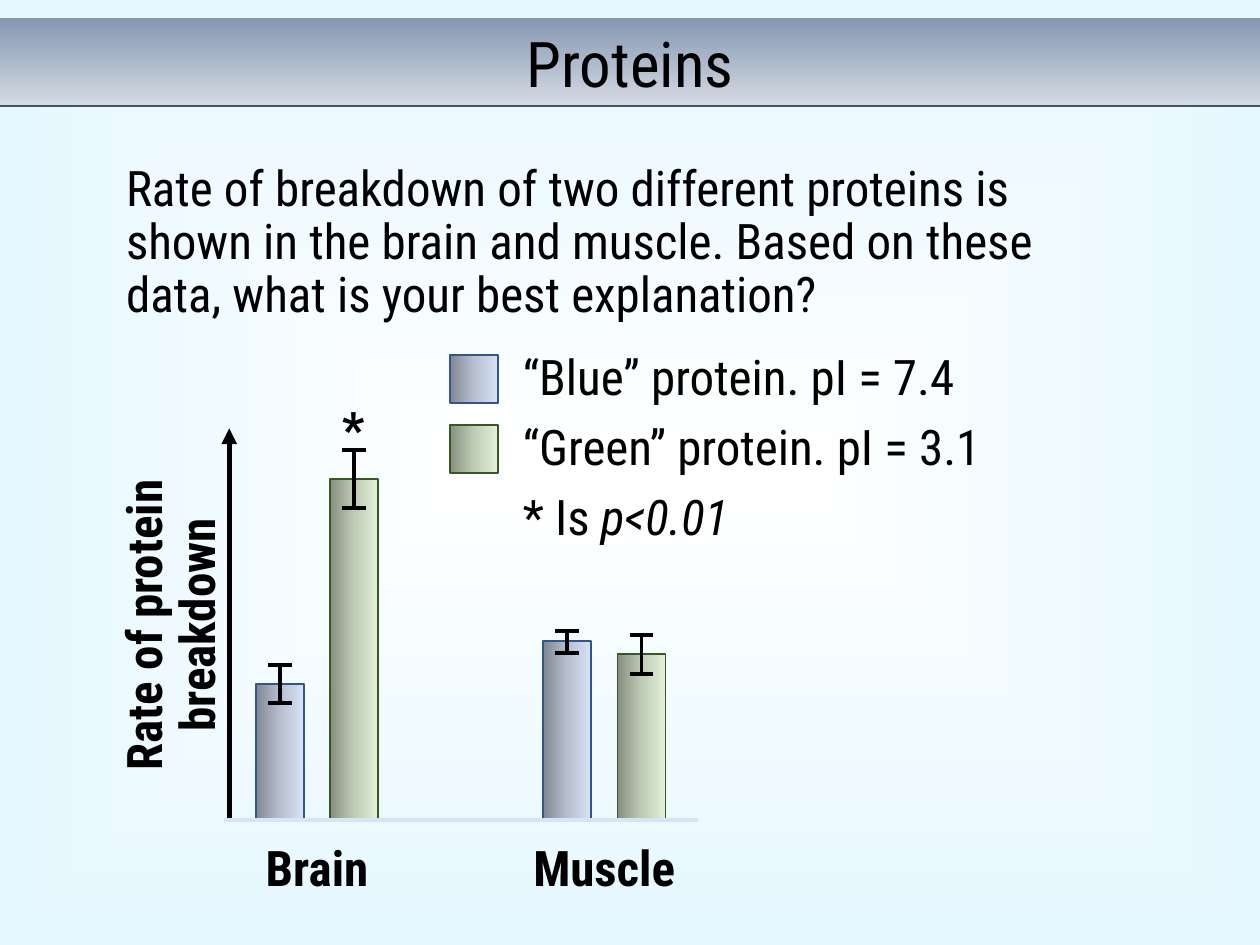
import pptx
import pptx.util
import pptx.dml.color
import pptx.enum.shapes
import pptx.enum.text
import pptx.oxml.ns
import lxml.etree

Pt = pptx.util.Pt
qn = pptx.oxml.ns.qn
Align = pptx.enum.text.PP_ALIGN
FONT = "Roboto Condensed"

# Content
TITLE = "Proteins"
ASK = ("Rate of breakdown of two different proteins is shown in the brain "
       "and muscle. Based on these data, what is your best explanation?")
AXIS = "Rate of protein breakdown"
BLUE = ([(0, "808691"), (50, "B6BFCF"), (100, "D8E2F5")], "325491")
GREEN = ([(0, "868F80"), (50, "BECBB6"), (100, "E2F1D8")], "385723")
KEYS = [("“Blue” protein. pI = 7.4", BLUE),
        ("“Green” protein. pI = 3.1", GREEN)]
NOTE = ("* Is ", "p<0.01")
# Group: name, left of first bar, label box, bars as (top, error top, error end)
GROUPS = [
    ("Brain", 146.2, (146.9, 68.4), [(391, 380.2, 401.8), (273.6, 257, 290.2)]),
    ("Muscle", 310.4, (298.8, 92.9), [(366.4, 360.7, 373), (373.6, 362.9, 385.2)]),
]
BASE, WIDE, STEP, CAP = 468.7, 27.4, 42.5, 6.7
ROW, LINE = 40, 31

prs = pptx.Presentation()
prs.slide_width, prs.slide_height = Pt(720), Pt(540)
slide = prs.slides.add_slide(prs.slide_layouts[6])


def color(code):
    return pptx.dml.color.RGBColor.from_string(code)


def grad(fill, node, stops, angle=None):
    """Gradient with any number of stops; no angle means from the centre."""
    fill.gradient()
    root = node.find(".//" + qn("a:gradFill"))
    for kid in list(root):
        root.remove(kid)

    def add(up, tag, **attrs):
        return lxml.etree.SubElement(up, qn("a:" + tag), attrs)

    group = add(root, "gsLst")
    for pos, code in stops:
        add(add(group, "gs", pos=str(pos * 1000)), "srgbClr", val=code)
    if angle is None:
        half = "50000"
        add(add(root, "path", path="shape"), "fillToRect", l=half, t=half, r=half, b=half)
    else:
        add(root, "lin", ang=str(angle * 60000), scaled="0")


def rect(x, y, w, h, stops, edge=None, angle=0):
    kind = pptx.enum.shapes.MSO_SHAPE.RECTANGLE
    shape = slide.shapes.add_shape(kind, Pt(x), Pt(y), Pt(w), Pt(h))
    shape.shadow.inherit = False
    grad(shape.fill, shape._element, stops, angle)
    if edge:
        shape.line.color.rgb = color(edge)
        shape.line.width = Pt(1)
    else:
        shape.line.fill.background()
    return shape


def line(x1, y1, x2, y2, code="000000", width=2.25, arrow=False):
    kind = pptx.enum.shapes.MSO_CONNECTOR.STRAIGHT
    link = slide.shapes.add_connector(kind, Pt(x1), Pt(y1), Pt(x2), Pt(y2))
    link.line.color.rgb = color(code)
    link.line.width = Pt(width)
    if arrow:
        lxml.etree.SubElement(link.line._get_or_add_ln(), qn("a:tailEnd"), type="triangle")
    lxml.etree.SubElement(link._element.spPr, qn("a:effectLst"))


def style(para, size=28, bold=False):
    for run in para.runs:
        font = run.font
        font.name, font.size, font.bold = FONT, Pt(size), bold
        font.color.rgb = color("000000")


def text(x, y, w, h, words, bold=False, align=Align.LEFT):
    box = slide.shapes.add_textbox(Pt(x), Pt(y), Pt(w), Pt(h))
    frame = box.text_frame
    frame.word_wrap = True
    frame.margin_left = frame.margin_right = frame.margin_top = frame.margin_bottom = 0
    para = frame.paragraphs[0]
    para.text = words
    para.alignment = align
    para.line_spacing = 0.9
    para.space_before = Pt(10)
    style(para, bold=bold)
    return box


# Background and title band
grad(slide.background.fill, slide._element, [(0, "FFFFFF"), (100, "E5F8FF")])
band = rect(0, 10, 720, 51, [(0, "D6DCE5"), (100, "8497B0")], angle=270)
frame = band.text_frame
frame.margin_left = frame.margin_right = 0
frame.vertical_anchor = pptx.enum.text.MSO_ANCHOR.MIDDLE
frame.text = TITLE
frame.paragraphs[0].alignment = Align.CENTER
style(frame.paragraphs[0], 36)
line(0, 60.5, 720, 60.5, "44546A", 1)

# Question
text(72, 93.6, 564, 95, ASK)

# Legend and note
for i, (words, (stops, edge)) in enumerate(KEYS):
    rect(257, 203 + i * ROW, WIDE, WIDE, stops, edge)
    text(298.8, 201.6 + i * ROW, 345.6, LINE, words)
note = text(298.8, 201.6 + len(KEYS) * ROW, 134.6, LINE, NOTE[0])
para = note.text_frame.paragraphs[0]
para.add_run().text = NOTE[1]
style(para)
para.runs[1].font.italic = True

# Bars with error marks
for name, left, (x, w), bars in GROUPS:
    for i, (top, high, low) in enumerate(bars):
        stops, edge = KEYS[i][1]
        start = left + i * STEP
        mid = start + WIDE / 2
        rect(start, top, WIDE, BASE - top, stops, edge)
        line(mid, high, mid, low)
        for y in (high, low):
            line(mid - CAP, y, mid + CAP, y)
    text(x, 482.4, w, LINE, name, True, Align.CENTER)

# Axes and their label
line(131, BASE, 131, 244.8, width=3, arrow=True)
line(128.2, BASE, 398.9, BASE, "DAE3F3")
label = text(10.1, 327.6, 175.7, 59, AXIS, True, Align.CENTER)
label.rotation = 270
text(188.6, 231.8, 26.6, LINE, "*", True, Align.CENTER)

prs.save("out.pptx")
